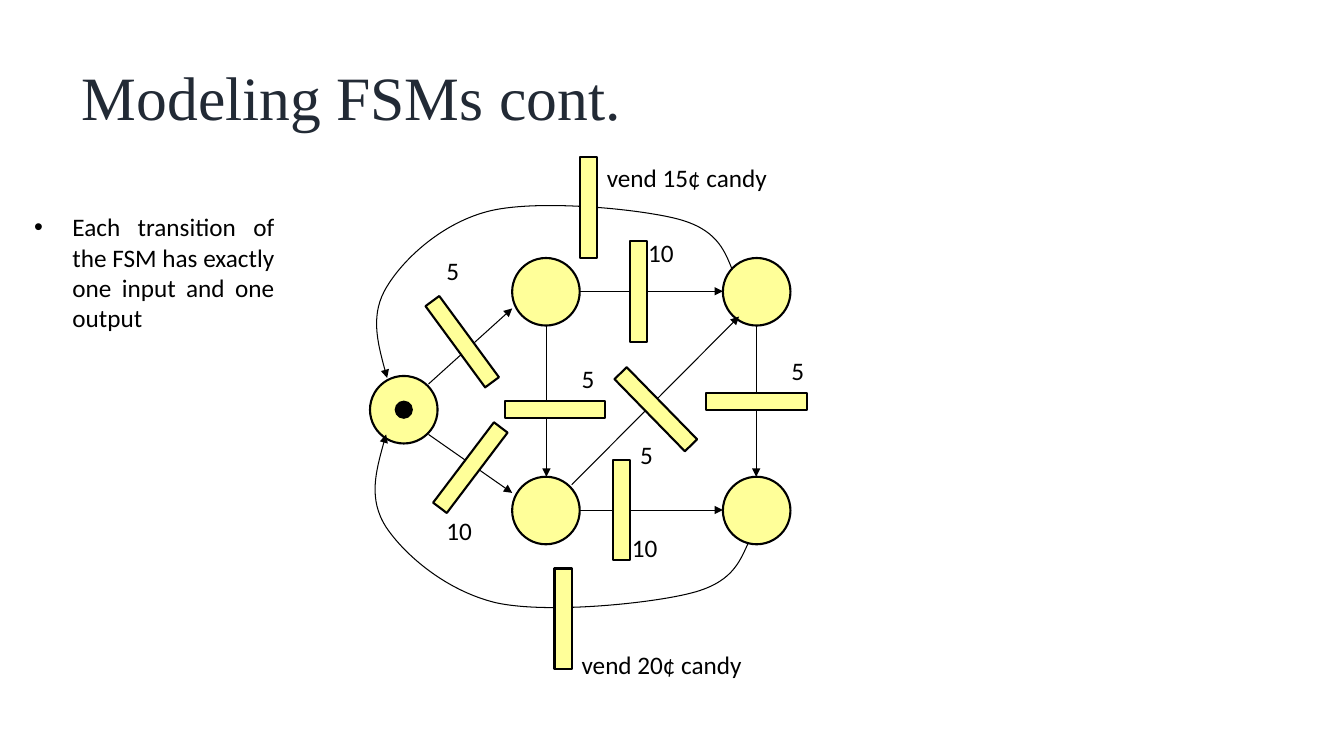
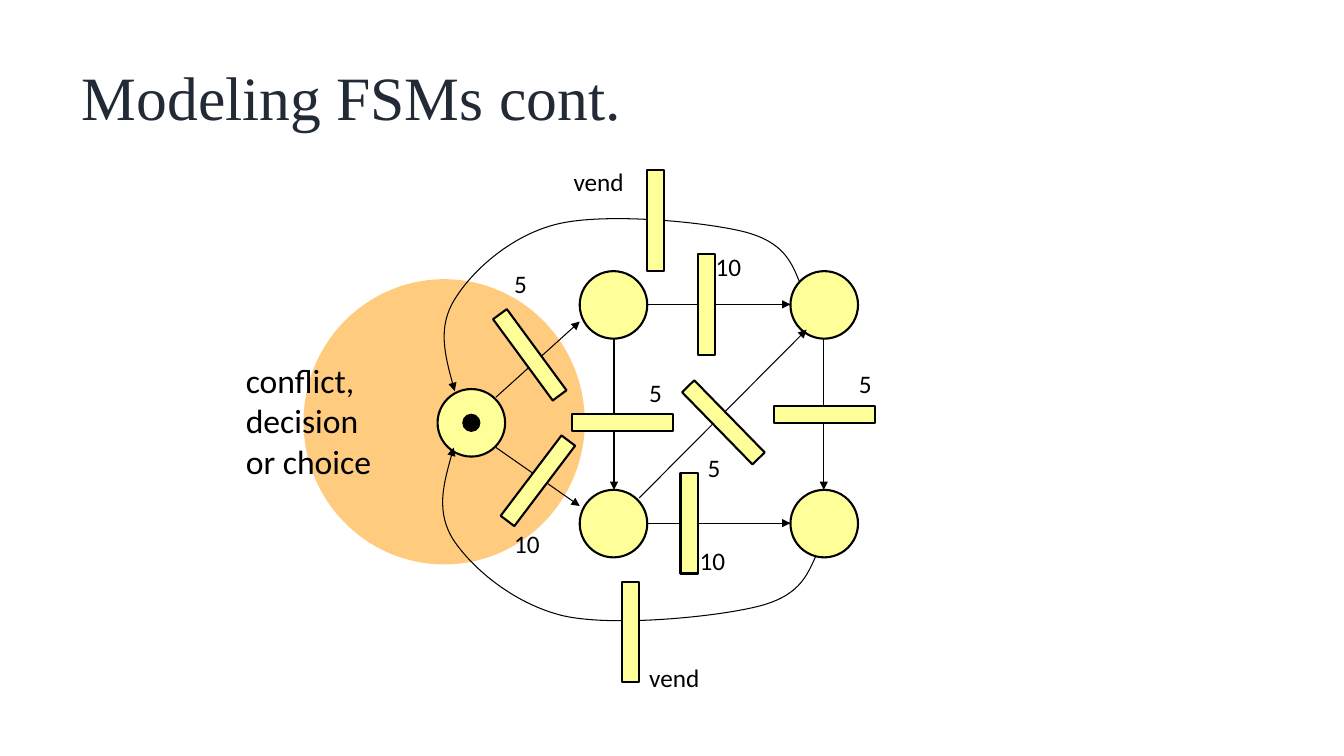
from pptx import Presentation
from pptx.dml.color import RGBColor
from pptx.enum.shapes import MSO_CONNECTOR, MSO_SHAPE
from pptx.enum.text import MSO_ANCHOR, MSO_AUTO_SIZE, PP_ALIGN
from pptx.oxml.ns import qn
from pptx.util import Pt
from lxml.etree import SubElement

PX = 9144  # 100 px to the inch
BLACK, CREAM, ORANGE, NAVY = "000000", "FFFF99", "FF9900", "222A35"
BODY, HEAD = "Calibri", "Times New Roman"
ROUND, BAR, LONG, DOT = 67, 17, 100, 17

# Petri net, in px from the corner of its box
PLACES = [(2, 217), (143, 100), (352, 100), (352, 317), (143, 317)]
ARROWS = [
    (60, 225, 143, 150), (210, 133, 352, 133), (177, 167, 177, 317),
    (202, 325, 368, 158), (385, 167, 385, 317), (210, 350, 352, 350),
    (60, 275, 143, 333),
]
# Start point, then three Bezier points for each piece
LOOPS = [
    [(377, 383), (368, 403), (360, 423), (318, 433), (277, 443), (177, 453),
     (127, 442), (77, 430), (36, 394), (18, 367), (0, 339), (9, 307), (18, 275)],
    [(361, 111), (353, 91), (345, 71), (306, 61), (266, 51), (170, 42),
     (122, 53), (75, 64), (36, 100), (19, 128), (2, 155), (10, 187), (19, 219)],
]
COINS = [
    (68, 92, "5"), (268, 75, "10"), (68, 350, "10"), (202, 200, "5"),
    (260, 275, "5"), (252, 367, "10"), (410, 192, "5"),
]
BARS = [
    (85, 133, 323.7), (93, 258, 37.1), (260, 83, 0), (277, 200, 315.7),
    (243, 300, 0), (377, 192, 270), (177, 200, 270), (185, 408, 0), (210, 0, 0),
]


def px(*sizes):
    return [size * PX for size in sizes]


def color(code):
    return RGBColor.from_string(code)


def ink(line, width):
    line.color.rgb = color(BLACK)
    line.width = Pt(width)


def tip(line):
    """Put an arrowhead on the far end."""
    SubElement(line._get_or_add_ln(), qn("a:tailEnd"), type="triangle")


def font(para, size, name=BODY, code=BLACK):
    para.font.size = Pt(size)
    para.font.name = name
    para.font.color.rgb = color(code)


def solid(slide, kind, box, fill, width=1.5):
    shape = slide.shapes.add_shape(kind, *px(*box))
    shape.shadow.inherit = False
    shape.fill.solid()
    shape.fill.fore_color.rgb = color(fill)
    if width:
        ink(shape.line, width)
    else:
        shape.line.fill.background()
    return shape


def label(slide, box, text, size=18, wrap=False):
    frame = slide.shapes.add_textbox(*px(*box)).text_frame
    frame.word_wrap = wrap
    frame.text = text
    for para in frame.paragraphs:
        font(para, size)
    return frame


def arrow(slide, ends):
    link = slide.shapes.add_connector(MSO_CONNECTOR.STRAIGHT, *px(*ends))
    ink(link.line, 0.75)
    tip(link.line)
    SubElement(link._element.spPr, qn("a:effectLst"))


def loop(slide, points):
    pen = slide.shapes.build_freeform(*points[0], scale=PX)
    pen.add_line_segments(points[1:], close=False)
    curve = pen.convert_to_shape()
    curve.shadow.inherit = False
    curve.fill.background()
    ink(curve.line, 0.75)
    tip(curve.line)
    # Join every three straight steps into one cubic curve
    steps = list(curve._element.iter(qn("a:lnTo")))
    for i in range(0, len(steps), 3):
        bend = steps[i].makeelement(qn("a:cubicBezTo"))
        steps[i].addprevious(bend)
        for step in steps[i:i + 3]:
            bend.append(step[0])
            step.getparent().remove(step)


def net(slide, x, y, vends):
    for dx, dy in PLACES:
        solid(slide, MSO_SHAPE.OVAL, (x + dx, y + dy, ROUND, ROUND), CREAM)
    for a, b, c, d in ARROWS:
        arrow(slide, (x + a, y + b, x + c, y + d))
    for points in LOOPS:
        loop(slide, [(x + dx, y + dy) for dx, dy in points])
    # Coin and vend labels
    for dx, dy, coin in COINS:
        label(slide, (x + dx, y + dy, 20 + 13 * len(coin), 40), coin)
    for dx, dy, width, text in vends:
        label(slide, (x + dx, y + dy, width, 40), text)
    # Transitions
    for dx, dy, turn in BARS:
        bar = solid(slide, MSO_SHAPE.RECTANGLE, (x + dx, y + dy, BAR, LONG), CREAM)
        bar.rotation = turn
    # Token in the first place
    gap = (ROUND - DOT) // 2
    dx, dy = PLACES[0]
    solid(slide, MSO_SHAPE.OVAL, (x + dx + gap, y + dy + gap, DOT, DOT), BLACK, 0.75)


def titled(deck, text):
    slide = deck.slides.add_slide(deck.slide_layouts[5])
    title = slide.shapes.title
    title.left, title.top, title.width, title.height = px(71, 35, 1150, 129)
    frame = title.text_frame
    frame.text = text
    frame.word_wrap = True
    frame.auto_size = MSO_AUTO_SIZE.NONE
    frame.vertical_anchor = MSO_ANCHOR.MIDDLE
    para = frame.paragraphs[0]
    para.alignment = PP_ALIGN.LEFT
    para.line_spacing = 0.9
    font(para, 44, HEAD, NAVY)
    return slide


def bullet(slide, box, text):
    para = label(slide, box, text, wrap=True).paragraphs[0]
    para.alignment = PP_ALIGN.JUSTIFY
    props = para._p.get_or_add_pPr()
    props.set("marL", str(38 * PX))
    props.set("indent", str(-38 * PX))
    SubElement(props, qn("a:buFont"), typeface="Arial")
    SubElement(props, qn("a:buChar"), char="•")


def rule(deck):
    slide = titled(deck, "Modeling FSMs cont.")
    net(slide, 365, 156, [(227, 0, 181, "vend 15¢ candy"),
                          (202, 483, 181, "vend 20¢ candy")])
    bullet(slide, (24, 205, 258, 131),
           "Each transition of the FSM has exactly one input and one output")


def choice(deck):
    slide = titled(deck, "Modeling FSMs cont.")
    # Half-clear disc behind the place where paths part
    disc = solid(slide, MSO_SHAPE.OVAL, (301, 277, 279, 283), ORANGE, 0)
    tint = next(disc._element.spPr.iter(qn("a:srgbClr")))
    SubElement(tint, qn("a:alpha"), val="50000")
    net(slide, 432, 169, [(127, -9, 71, "vend"), (202, 483, 71, "vend")])
    label(slide, (234, 352, 146, 131), "conflict,\ndecision\nor choice", 24)


def main():
    deck = Presentation()
    deck.slide_width, deck.slide_height = px(1333, 750)
    rule(deck)
    choice(deck)
    deck.save("out.pptx")


if __name__ == "__main__":
    main()
